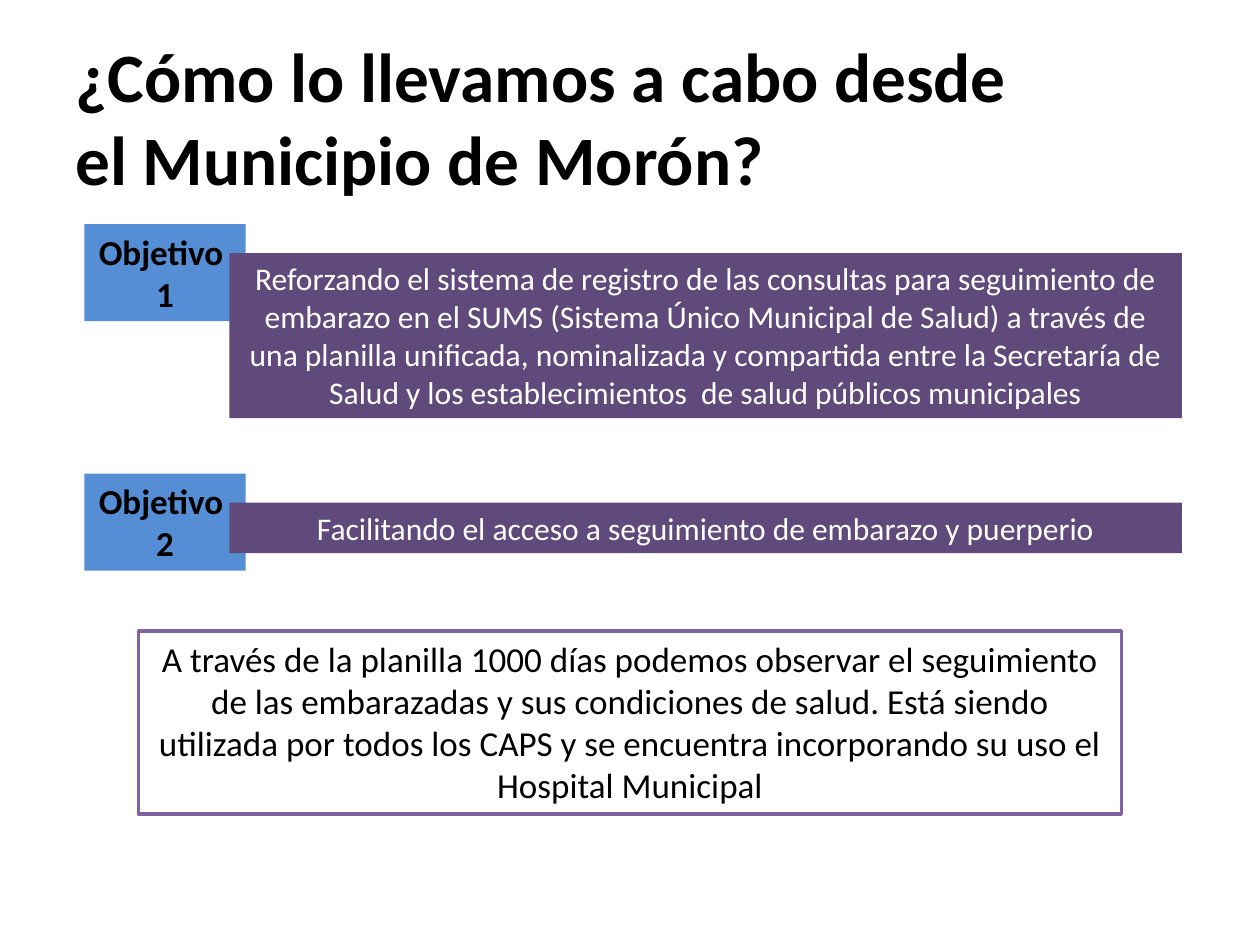
from pptx import Presentation
from pptx.dml.color import RGBColor
from pptx.enum.shapes import MSO_SHAPE
from pptx.enum.text import MSO_ANCHOR, MSO_AUTO_SIZE, PP_ALIGN
from pptx.util import Inches, Pt

BLACK = RGBColor(0x00, 0x00, 0x00)
WHITE = RGBColor(0xFF, 0xFF, 0xFF)
BLUE = RGBColor(0x55, 0x8E, 0xD5)
DARK_PURPLE = RGBColor(0x60, 0x4A, 0x7B)
PURPLE = RGBColor(0x80, 0x64, 0xA2)
FONT = "Calibri"

OBJECTIVES = [
    (1.78, 1.31, "1",
     "Reforzando el sistema de registro de las consultas para seguimiento de "
     "embarazo en el SUMS (Sistema Único Municipal de Salud) a través de una "
     "planilla unificada, nominalizada y compartida entre la Secretaría de "
     "Salud y los establecimientos  de salud públicos municipales"),
    (3.76, 0.4, "2",
     "Facilitando el acceso a seguimiento de embarazo y puerperio"),
]
SUMMARY = (
    "A través de la planilla 1000 días podemos observar el seguimiento de las "
    "embarazadas y sus condiciones de salud. Está siendo utilizada por todos "
    "los CAPS y se encuentra incorporando su uso el Hospital Municipal"
)


def add_run(paragraph, text, size, color, bold=False):
    run = paragraph.add_run()
    run.text = text
    run.font.name = FONT
    run.font.size = Pt(size)
    run.font.bold = bold
    run.font.color.rgb = color


def add_title(slide, left, top, width, height, lines):
    box = slide.shapes.add_textbox(
        Inches(left), Inches(top), Inches(width), Inches(height))
    frame = box.text_frame
    frame.word_wrap = True
    frame.vertical_anchor = MSO_ANCHOR.MIDDLE
    paragraph = frame.paragraphs[0]
    for index, line in enumerate(lines):
        if index:
            paragraph.add_line_break()
        add_run(paragraph, line, 39.6, BLACK, bold=True)


def add_panel(slide, left, top, width, height, lines, size, color, fill,
              bold=False, outline=None):
    shape = slide.shapes.add_shape(
        MSO_SHAPE.RECTANGLE,
        Inches(left), Inches(top), Inches(width), Inches(height))
    shape.shadow.inherit = False
    shape.fill.solid()
    shape.fill.fore_color.rgb = fill
    if outline is None:
        shape.line.fill.background()
    else:
        shape.line.color.rgb = outline
        shape.line.width = Pt(2)
    frame = shape.text_frame
    frame.word_wrap = True
    frame.auto_size = MSO_AUTO_SIZE.SHAPE_TO_FIT_TEXT
    frame.vertical_anchor = MSO_ANCHOR.TOP
    for index, line in enumerate(lines):
        paragraph = frame.add_paragraph() if index else frame.paragraphs[0]
        paragraph.alignment = PP_ALIGN.CENTER
        add_run(paragraph, line, size, color, bold)


def add_objective(slide, left, top, width, height, number, text):
    add_panel(slide, left, top, 1.28, 0.77, ["Objetivo ", number],
              20, BLACK, BLUE, bold=True)
    indent = 1.15
    add_panel(slide, left + indent, top + 0.23, width - indent, height, [text],
              18, WHITE, DARK_PURPLE)


def main():
    presentation = Presentation()
    presentation.slide_width = Inches(10)
    presentation.slide_height = Inches(7.5)
    slide = presentation.slides.add_slide(presentation.slide_layouts[6])
    add_title(slide, 0.5, 0.3, 9, 1.25,
              ["¿Cómo lo llevamos a cabo desde ", "el Municipio de Morón?"])
    for top, height, number, text in OBJECTIVES:
        add_objective(slide, 0.67, top, 8.71, height, number, text)
    add_panel(slide, 1.1, 5.01, 7.8, 1.45, [SUMMARY], 20, BLACK, WHITE,
              outline=PURPLE)
    presentation.save("out.pptx")


if __name__ == "__main__":
    main()
